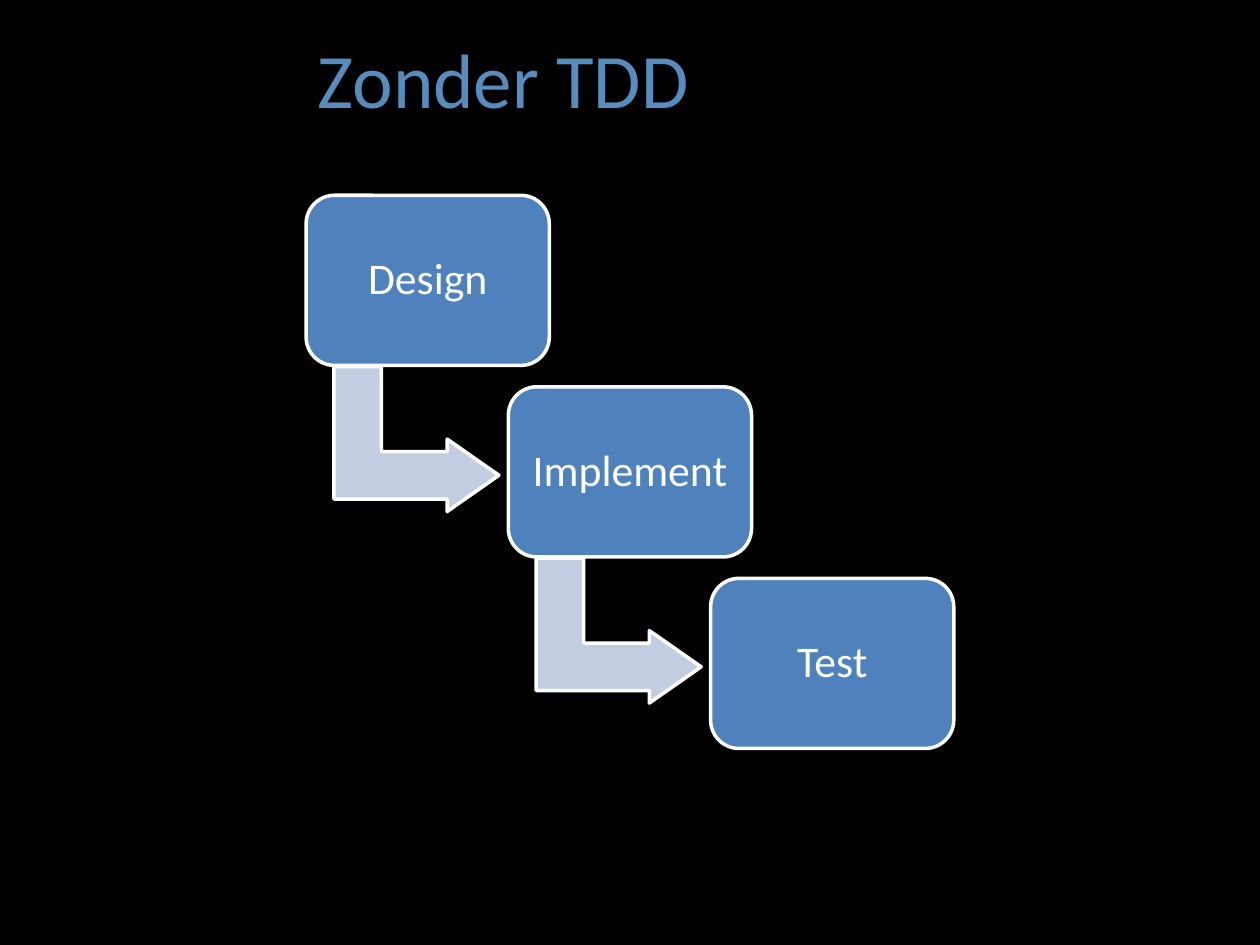
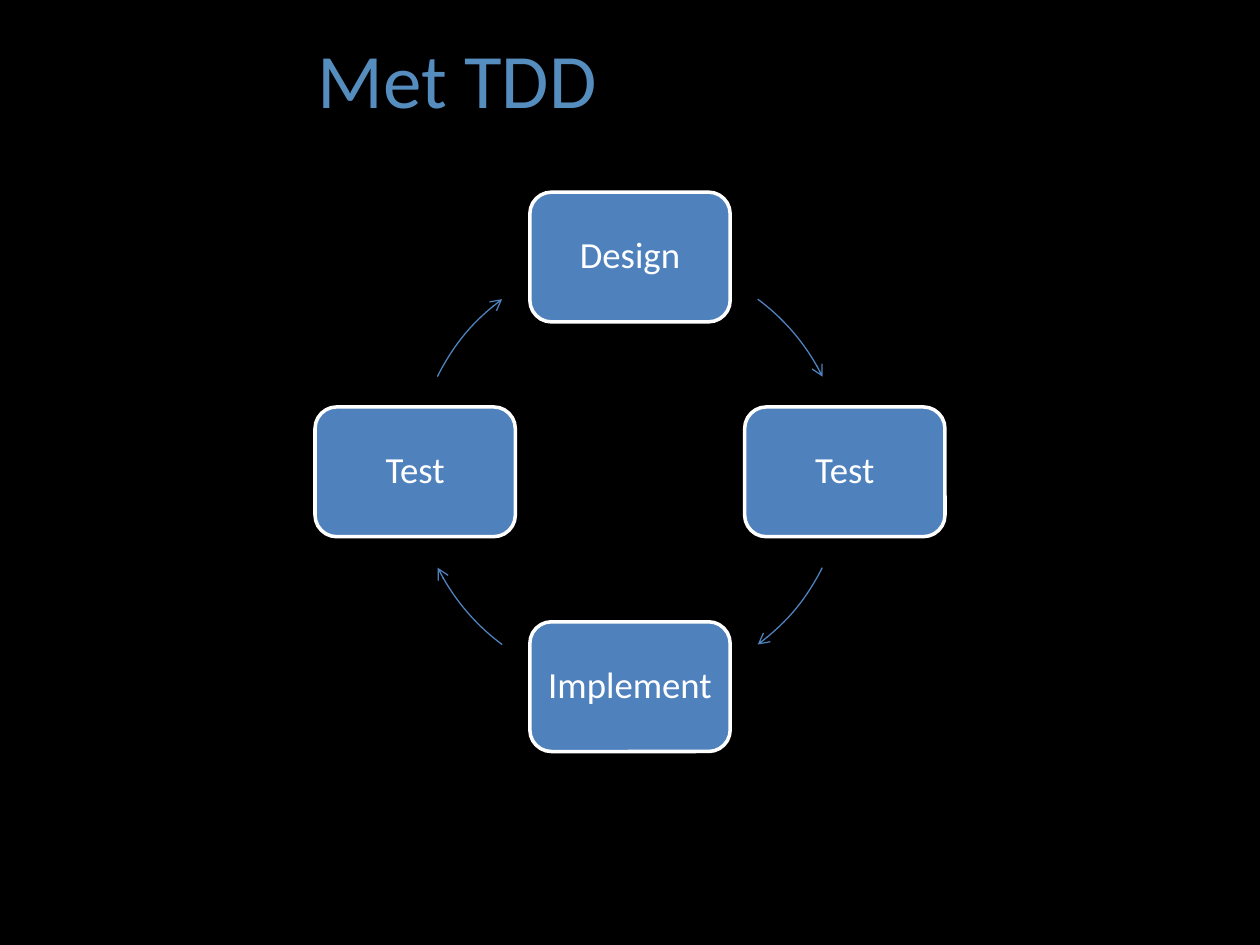
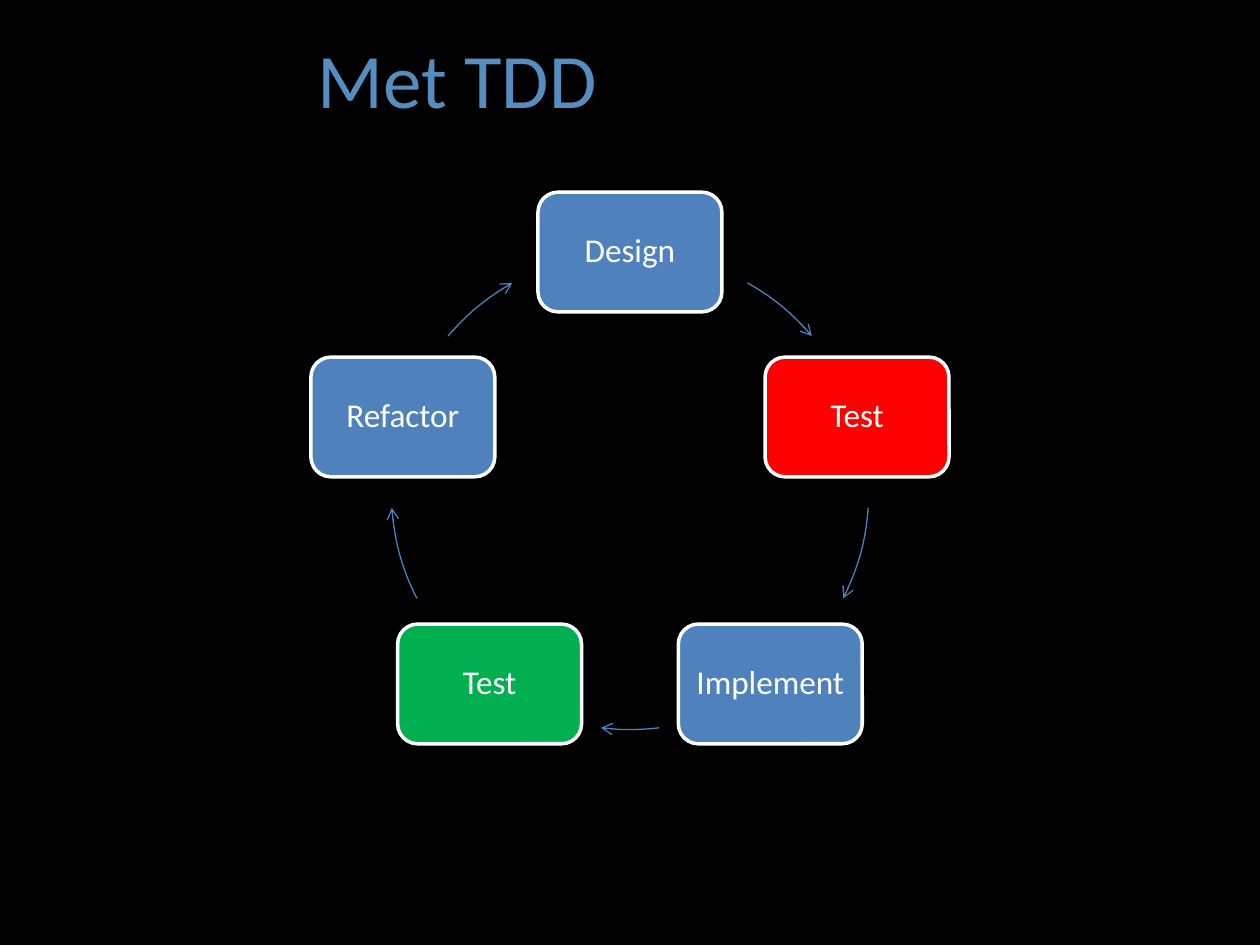
"""Build three slides that compare working without and with TDD."""
import math

import pptx
import pptx.dml.color
import pptx.enum.shapes
import pptx.enum.text
import pptx.util
from lxml import etree

Inches = pptx.util.Inches
Pt = pptx.util.Pt
SHAPES = pptx.enum.shapes.MSO_SHAPE
ANCHOR = pptx.enum.text.MSO_ANCHOR
ALIGN = pptx.enum.text.PP_ALIGN

FONT = "Calibri"
BLACK, WHITE = "000000", "FFFFFF"
TITLE_BLUE, BLUE, PALE_BLUE = "558DBE", "4F81BD", "C2CDE1"
RED, GREEN = "FF0000", "00B050"

WATERFALL = {
    "title": "Zonder TDD",
    "steps": ["Design", "Implement", "Test"],
    "first": (2.43, 1.55), "offset": (1.605, 1.52),
    "box": (1.93, 1.35), "size": 25,
    "arrow": (1.15, 1.31), "arrow_offset": (0.3, 1.28),
    "arrow_bends": (0.328, 0.25, 0.358),
}
CYCLES = [
    {
        "title": "Met TDD",
        "steps": [("Design", BLUE), ("Test", BLUE), ("Implement", BLUE), ("Test", BLUE)],
        "center": (5, 3.745), "radius": 1.705, "box": (1.59, 1.03), "size": 21,
        "arcs": [(306.5, 333.7), (26.5, 53.5), (126.5, 153.5), (206.3, 233.5)],
    },
    {
        "title": "Met TDD",
        "steps": [("Design", BLUE), ("Test", RED), ("Implement", BLUE),
                  ("Test", GREEN), ("Refactor", BLUE)],
        "center": (5, 3.895), "radius": 1.895, "box": (1.46, 0.95), "size": 19,
        "arcs": [(299.5, 319.6), (4.1, 26.8), (83, 97), (153.2, 175.9), (220.4, 240.5)],
    },
]


def rgb(color):
    """Turn a hex string into a colour."""
    return pptx.dml.color.RGBColor.from_string(color)


def style_text(frame, size, color):
    """Format every run of a text frame."""
    for paragraph in frame.paragraphs:
        for run in paragraph.runs:
            run.font.name = FONT
            run.font.size = Pt(size)
            run.font.color.rgb = rgb(color)


def add_titled_slide(deck, title):
    """Add a slide with the shared title style."""
    slide = deck.slides.add_slide(deck.slide_layouts[5])
    heading = slide.shapes.title
    heading.left, heading.top = Inches(2.42), Inches(0.2)
    heading.width, heading.height = Inches(7.08), Inches(1.17)
    frame = heading.text_frame
    frame.text = title
    frame.vertical_anchor = ANCHOR.TOP
    frame.paragraphs[0].alignment = ALIGN.LEFT
    style_text(frame, 44, TITLE_BLUE)
    return slide


def add_outlined(slide, kind, place, line, width, fill=None):
    """Add a preset shape with a plain outline and an optional fill."""
    shape = slide.shapes.add_shape(kind, *map(Inches, place))
    shape.shadow.inherit = False
    if fill:
        shape.fill.solid()
        shape.fill.fore_color.rgb = rgb(fill)
    else:
        shape.fill.background()
    shape.line.color.rgb = rgb(line)
    shape.line.width = Pt(width)
    return shape


def add_step(slide, label, place, size, fill):
    """Add a rounded box with a centred label."""
    step = add_outlined(slide, SHAPES.ROUNDED_RECTANGLE, place, WHITE, 2, fill)
    frame = step.text_frame
    frame.text = label
    frame.word_wrap = True
    frame.vertical_anchor = ANCHOR.MIDDLE
    frame.margin_left = frame.margin_right = Inches(0.05)
    frame.margin_top = frame.margin_bottom = Inches(0.09)
    frame.paragraphs[0].alignment = ALIGN.CENTER
    frame.paragraphs[0].line_spacing = 0.9
    style_text(frame, size, WHITE)


def add_arc_arrow(slide, circle, angles):
    """Add a clockwise arc between two angles with an arrowhead at its end."""
    arc = add_outlined(slide, SHAPES.ARC, circle, BLUE, 0.75)
    for index, angle in enumerate(angles):
        arc.adjustments[index] = angle * 0.6
    outline = arc.line._get_or_add_ln()
    etree.SubElement(outline, pptx.oxml.ns.qn("a:tailEnd"), type="arrow")


def build_waterfall(deck, content):
    """Draw the steps down a staircase, joined by bent arrows."""
    slide = add_titled_slide(deck, content["title"])
    last = len(content["steps"]) - 1
    for index, label in enumerate(content["steps"]):
        left, top = (start + index * gap
                     for start, gap in zip(content["first"], content["offset"]))
        if index < last:
            right, down = content["arrow_offset"]
            place = (left + right, top + down, *content["arrow"])
            bend = add_outlined(slide, SHAPES.BENT_UP_ARROW, place, WHITE, 2, PALE_BLUE)
            bend.rotation = 90
            for number, value in enumerate(content["arrow_bends"]):
                bend.adjustments[number] = value
        add_step(slide, label, (left, top, *content["box"]), content["size"], BLUE)


def build_cycle(deck, content):
    """Draw the steps evenly round a circle, joined by arcs."""
    slide = add_titled_slide(deck, content["title"])
    (x, y), radius, (width, height) = content["center"], content["radius"], content["box"]
    circle = (x - radius, y - radius, 2 * radius, 2 * radius)
    steps = content["steps"]
    for index, ((label, fill), angles) in enumerate(zip(steps, content["arcs"])):
        turn = 2 * math.pi * index / len(steps)
        left = x + radius * math.sin(turn) - width / 2
        top = y - radius * math.cos(turn) - height / 2
        add_step(slide, label, (left, top, width, height), content["size"], fill)
        add_arc_arrow(slide, circle, angles)


def main():
    """Build and save the presentation."""
    deck = pptx.Presentation()
    deck.slide_width, deck.slide_height = Inches(10), Inches(7.5)
    backdrop = deck.slide_master.background.fill
    backdrop.solid()
    backdrop.fore_color.rgb = rgb(BLACK)
    build_waterfall(deck, WATERFALL)
    for cycle in CYCLES:
        build_cycle(deck, cycle)
    deck.save("out.pptx")


if __name__ == "__main__":
    main()
